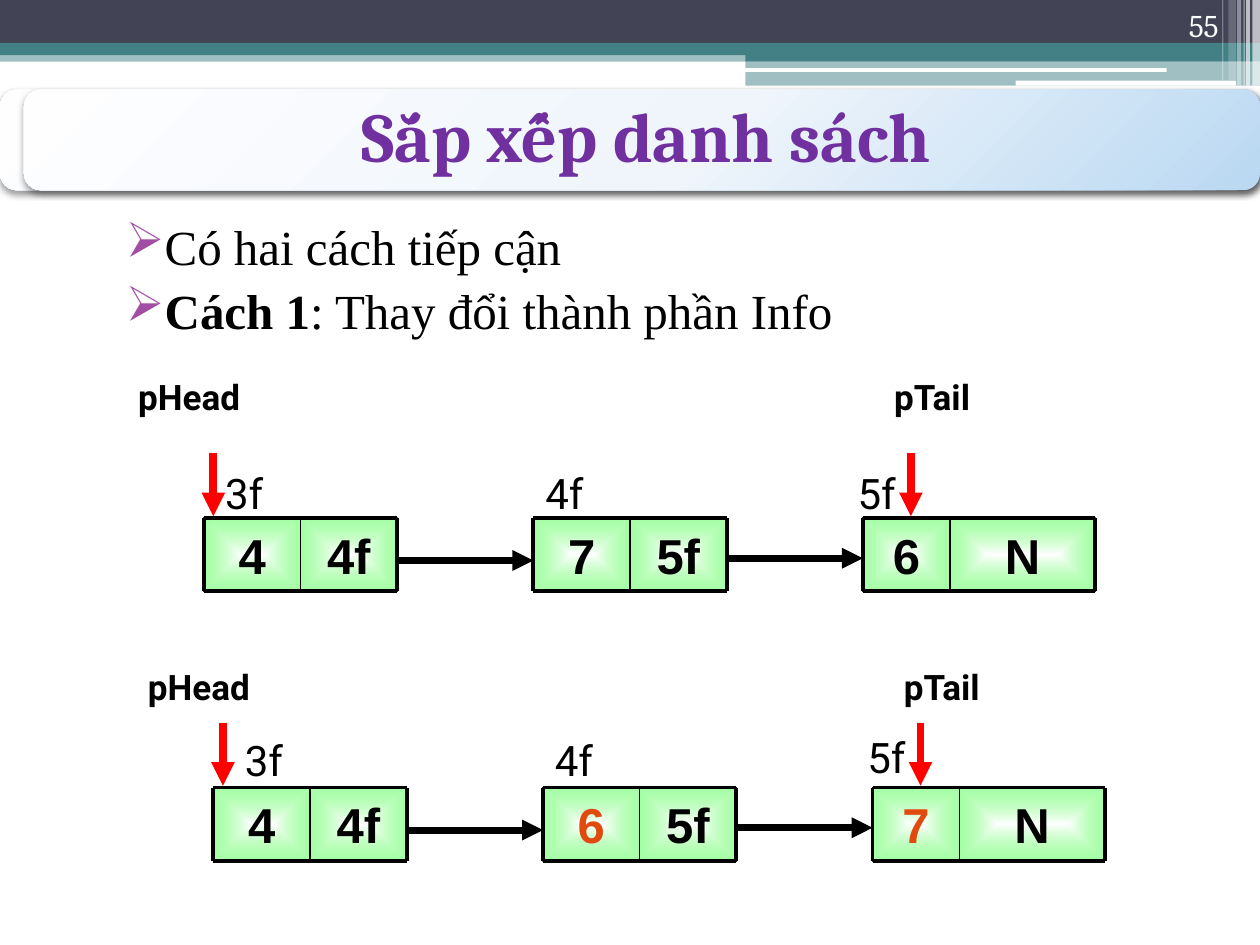
from dataclasses import dataclass
from lxml.etree import SubElement
from pptx import Presentation
from pptx.dml.color import RGBColor
from pptx.enum.shapes import MSO_CONNECTOR, MSO_SHAPE
from pptx.enum.text import MSO_ANCHOR, PP_ALIGN
from pptx.oxml import parse_xml
from pptx.oxml.ns import qn
from pptx.util import Pt


@dataclass(frozen=True)
class Theme:
    dark: str = "424456"
    teal: str = "438086"
    white: str = "FFFFFF"
    black: str = "000000"
    purple: str = "7030A0"
    bullet: str = "A04DA3"
    red: str = "FF0000"
    changed: str = "E04A0E"
    heading: str = "Cambria"
    body: str = "Times New Roman"
    label: str = "Roboto"
    cell: str = "Arial"
    title_size: int = 40
    body_size: int = 28
    address_size: int = 24
    pointer_size: int = 20
    number_size: int = 18


theme = Theme()

TITLE = "Sắp xếp danh sách"
NUMBER = "55"
POINTS = [
    [("Có hai cách tiếp cận", False)],
    [("Cách 1", True), (": Thay đổi thành phần Info", False)],
]
BANDS = [
    (0, 28.8, 720, 6.5, theme.teal, 50),
    (0, 0, 720, 24.5, theme.dark, 100),
    (0, 24.5, 720, 7, theme.teal, 100),
    (426, 28, 294, 7, theme.teal, 100),
    (426, 34.6, 294, 14.4, theme.teal, 50),
]
SLIVERS = [(425.5, 38.9, 241.2, 2.2), (580.3, 46.1, 126, 2.9)]
STRIPES = [
    (715.7, 4.3, 49, 65), (712.1, 2.2, 49, 65), (710.6, 0.7, 49, 60),
    (707, 2.2, 49, 40), (702, 4.3, 46, 20), (698.4, 0.7, 46, 30),
]
NODE_PITCH = 188.3
CELL_HEIGHT = 42
CELL_WIDTHS = [(55.2, 55.2), (55.2, 55.2), (49.7, 82.9)]
LINK_DROPS = [24.3, 23]
POINTERS = [("pHead", -44.6, 5.4), ("pTail", 387.4, 404)]
LISTS = [
    {"left": 116.5, "top": 296, "pointer_rise": 85,
     "nodes": [("4", "4f"), ("7", "5f"), ("6", "N")], "changed": (),
     "addresses": [("3f", 5, 32.4), ("4f", 188, 32.4), ("5f", 366.5, 32.4)]},
    {"left": 122, "top": 450, "pointer_rise": 73.4,
     "nodes": [("4", "4f"), ("6", "5f"), ("7", "N")], "changed": (1, 2),
     "addresses": [("3f", 10.8, 33.8), ("4f", 188, 33.8), ("5f", 366.5, 35.3)]},
]
CELL_GRADIENT = ("shape", (50, 50, 50, 50), [(0, "FFFFFF", 100), (100, "69FF69", 60)])
TITLE_GRADIENT = ("circle", (-40, -90, 140, 190),
                  [(0, "FEFEFF", 100), (55, "EFF5FB", 100), (100, "BAD8F2", 100)])

deck = Presentation()
deck.slide_width, deck.slide_height = Pt(720), Pt(540)
page = deck.slides.add_slide(deck.slide_layouts[6])


def color(value):
    return RGBColor.from_string(value)


def add_block(kind, bounds, fill=None, alpha=100):
    shape = page.shapes.add_shape(kind, *map(Pt, bounds))
    shape.shadow.inherit = False
    shape.line.fill.background()
    if fill:
        shape.fill.solid()
        shape.fill.fore_color.rgb = color(fill)
        if alpha < 100:
            tint = shape._element.spPr.find(qn("a:solidFill")).find(qn("a:srgbClr"))
            SubElement(tint, qn("a:alpha"), val=str(alpha * 1000))
    return shape


def set_gradient(shape, gradient):
    kind, center, stops = gradient
    sides = " ".join(f'{side}="{value * 1000}"' for side, value in zip("ltrb", center))
    stop_xml = "".join(
        f'<a:gs pos="{place * 1000}"><a:srgbClr val="{tone}">'
        f'<a:alpha val="{alpha * 1000}"/></a:srgbClr></a:gs>'
        for place, tone, alpha in stops)
    shape.fill.gradient()
    properties = shape._element.spPr
    properties.replace(properties.find(qn("a:gradFill")), parse_xml(
        '<a:gradFill xmlns:a="http://schemas.openxmlformats.org/drawingml/2006/main" '
        f'rotWithShape="1"><a:gsLst>{stop_xml}</a:gsLst><a:path path="{kind}">'
        f'<a:fillToRect {sides}/></a:path></a:gradFill>'))


def add_shadow(shape):
    effects = shape._element.spPr.find(qn("a:effectLst"))
    shadow = SubElement(effects, qn("a:outerShdw"), blurRad=str(Pt(4.1)),
                        dist=str(Pt(2)), dir="5400000", rotWithShape="0")
    tone = SubElement(shadow, qn("a:srgbClr"), val=theme.black)
    SubElement(tone, qn("a:alpha"), val="40000")


def style(para, name, size, tone=theme.black, bold=False, align=PP_ALIGN.LEFT):
    para.alignment = align
    para.font.name, para.font.size, para.font.bold = name, Pt(size), bold
    para.font.color.rgb = color(tone)


def write(shape, text, *look, **options):
    shape.text_frame.word_wrap = True
    para = shape.text_frame.paragraphs[0]
    para.text = text
    style(para, *look, **options)


def add_text(bounds, text, *look, **options):
    box = page.shapes.add_textbox(*map(Pt, bounds))
    write(box, text, *look, **options)
    return box


def add_line(start, end, width, tone=theme.black, arrow=False):
    line = page.shapes.add_connector(MSO_CONNECTOR.STRAIGHT, *map(Pt, (*start, *end)))
    line.line.color.rgb = color(tone)
    line.line.width = Pt(width)
    if arrow:
        SubElement(line.line._get_or_add_ln(), qn("a:tailEnd"), type="triangle")
    SubElement(line._element.spPr, qn("a:effectLst"))


def add_node(left, top, values, widths, info_tone):
    middle, right, bottom = left + widths[0], left + sum(widths), top + CELL_HEIGHT
    for x, width, value, tone in zip((left, middle), widths, values, (info_tone, theme.black)):
        cell = add_block(MSO_SHAPE.RECTANGLE, (x, top, width, CELL_HEIGHT))
        set_gradient(cell, CELL_GRADIENT)
        cell.line.color.rgb = color(theme.black)
        cell.line.width = Pt(0.75)
        write(cell, value, theme.cell, theme.body_size, tone, True, PP_ALIGN.CENTER)
    for y in (top, bottom):
        add_line((left, y), (right, y), 2.25)
    for x, width in ((left, 2.25), (middle, 1), (right, 2.25)):
        add_line((x, top), (x, bottom), width)


def add_list(row):
    left, top = row["left"], row["top"]
    starts = [left + index * NODE_PITCH for index in range(len(row["nodes"]))]
    for index, (start, values) in enumerate(zip(starts, row["nodes"])):
        tone = theme.changed if index in row["changed"] else theme.black
        add_node(start, top, values, CELL_WIDTHS[index], tone)
    for text, shift, rise in row["addresses"]:
        add_text((left + shift, top - rise, 49.7, 36), text, theme.label, theme.address_size)
    for index, drop in enumerate(LINK_DROPS):
        end = starts[index] + sum(CELL_WIDTHS[index])
        add_line((end, top + drop), (starts[index + 1], top + drop), 4, arrow=True)
    for text, shift, arrow_shift in POINTERS:
        add_text((left + shift, top - row["pointer_rise"], 82, 31.5), text,
                 theme.label, theme.pointer_size, bold=True)
        x = left + arrow_shift
        add_line((x, top - 37), (x, top - 1), 4.5, theme.red, True)


def add_points():
    box = page.shapes.add_textbox(Pt(56.2), Pt(120.2), Pt(663.8), Pt(102.2))
    frame = box.text_frame
    frame.word_wrap = True
    for index, parts in enumerate(POINTS):
        para = frame.add_paragraph() if index else frame.paragraphs[0]
        properties = para._p.get_or_add_pPr()
        properties.set("marL", str(Pt(28.8)))
        properties.set("indent", str(Pt(-20.2)))
        SubElement(SubElement(properties, qn("a:buClr")), qn("a:srgbClr"), val=theme.bullet)
        SubElement(properties, qn("a:buChar"), char="➢")
        style(para, theme.body, theme.body_size, align=PP_ALIGN.JUSTIFY)
        if index:
            para.space_before = Pt(3)
        for text, bold in parts:
            span = para.add_run()
            span.text, span.font.bold = text, bold


def add_title():
    for left, angle in ((0, 180), (13.7, 0)):
        banner = add_block(MSO_SHAPE.ROUNDED_RECTANGLE, (left, 51.1, 720 - left, 57.6))
        banner.rotation = angle
        set_gradient(banner, TITLE_GRADIENT)
        add_shadow(banner)
    frame = banner.text_frame
    frame.margin_left, frame.margin_right = Pt(18), Pt(13.7)
    frame.margin_top = frame.margin_bottom = Pt(7.2)
    write(banner, TITLE, theme.heading, theme.title_size, theme.purple, True, PP_ALIGN.CENTER)
    frame.paragraphs[0].line_spacing = 0.9


for *bounds, tone, alpha in BANDS:
    add_block(MSO_SHAPE.RECTANGLE, bounds, tone, alpha)
for bounds in SLIVERS:
    add_block(MSO_SHAPE.ROUNDED_RECTANGLE, bounds, theme.white)
for left, width, height, alpha in STRIPES:
    add_block(MSO_SHAPE.RECTANGLE, (left, 0, width, height), theme.white, alpha)
add_points()
for row in LISTS:
    add_list(row)
add_title()
number = add_text((643.7, 0, 59.8, 28.8), NUMBER, theme.heading, theme.number_size,
                  theme.white, align=PP_ALIGN.RIGHT)
number.text_frame.vertical_anchor = MSO_ANCHOR.BOTTOM
deck.save("out.pptx")
